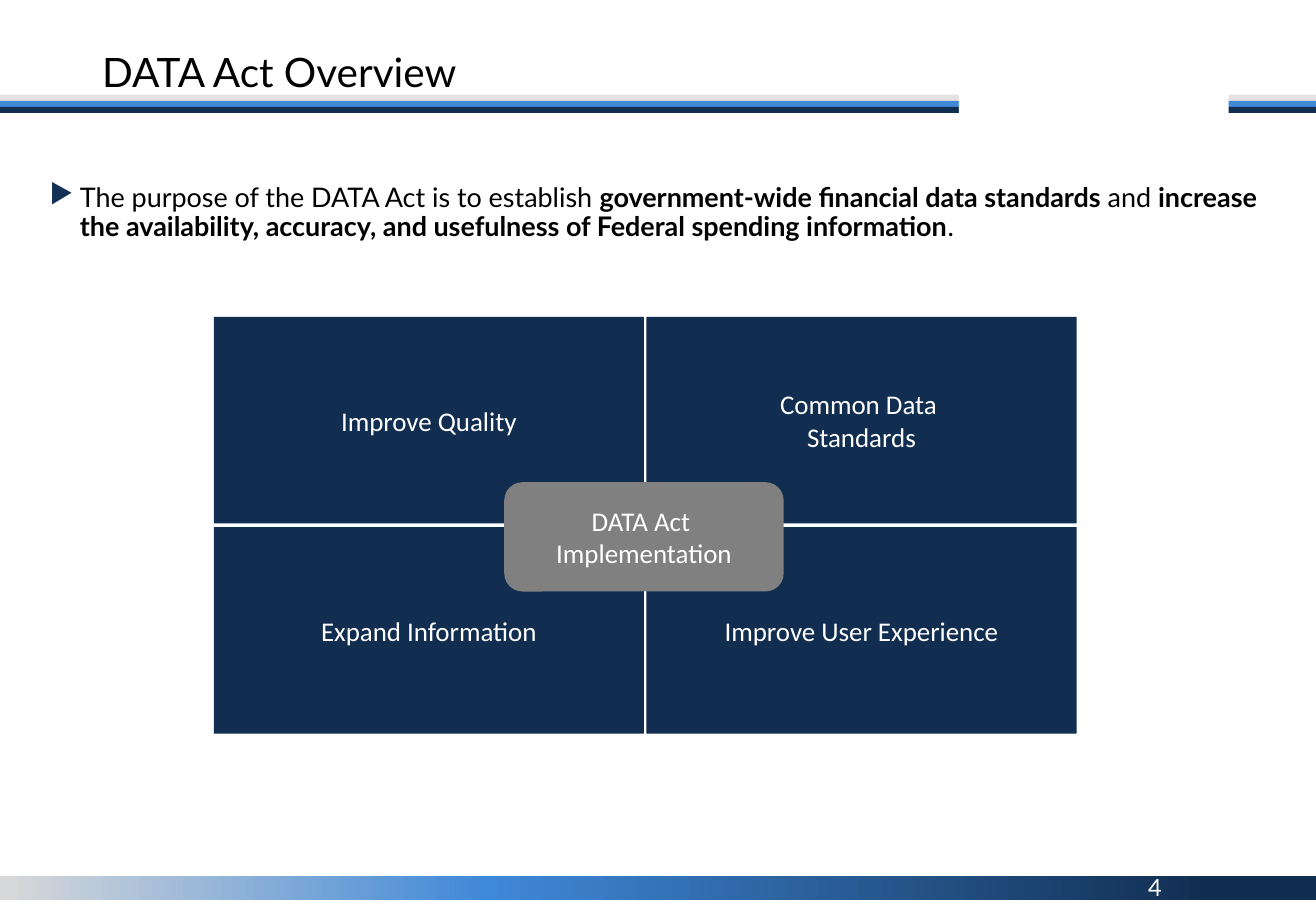
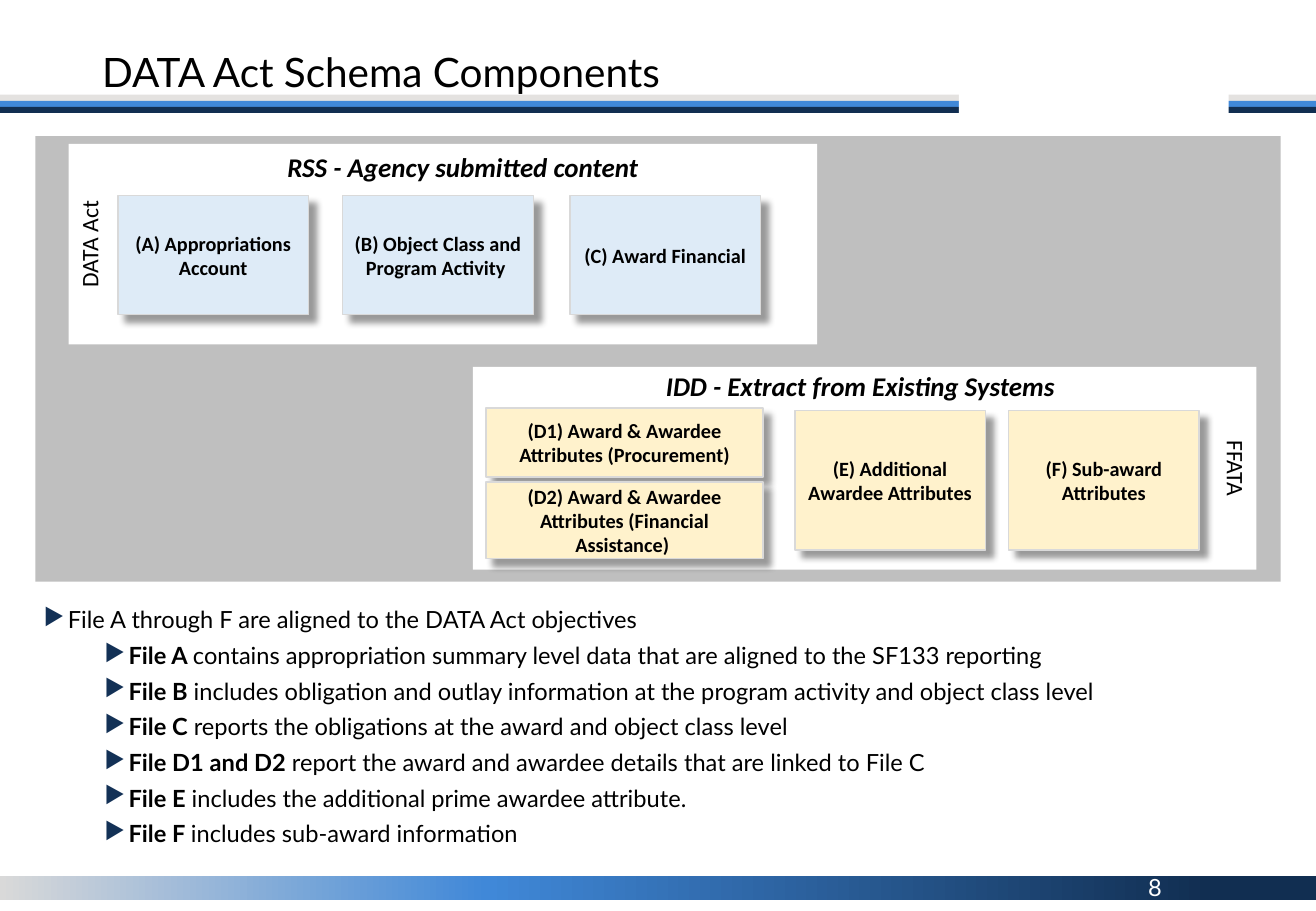
"""Build two slides on the DATA Act: its overview and its schema components."""
from copy import deepcopy

from lxml.etree import SubElement
from pptx import Presentation
from pptx.dml.color import RGBColor
from pptx.enum.shapes import MSO_SHAPE
from pptx.enum.text import MSO_ANCHOR, MSO_AUTO_SIZE, PP_ALIGN
from pptx.oxml.ns import qn
from pptx.util import Inches, Pt

NAVY = RGBColor(0x11, 0x2E, 0x51)
BLUE = RGBColor(0x40, 0x88, 0xD8)
BULLET_NAVY = RGBColor(0x13, 0x31, 0x56)
WARM_GRAY = RGBColor(0xE4, 0xE2, 0xE0)
LIGHT_GRAY = RGBColor(0xD9, 0xD9, 0xD9)
PANEL_GRAY = RGBColor(0xBF, 0xBF, 0xBF)
HUB_GRAY = RGBColor(0x80, 0x80, 0x80)
PALE_BLUE = RGBColor(0xDE, 0xEB, 0xF7)
PALE_YELLOW = RGBColor(0xFF, 0xF2, 0xCC)
WHITE = RGBColor(0xFF, 0xFF, 0xFF)
BLACK = RGBColor(0x00, 0x00, 0x00)
HEADING_FONT, DIAGRAM_FONT = "Lato", "Calibri"


def write_text(shape, text, font=DIAGRAM_FONT, size=16, color=BLACK, bold=False, italic=False,
               align=PP_ALIGN.CENTER, anchor=MSO_ANCHOR.MIDDLE, line_spacing=None,
               space_before=None, bullet_margins=(), hanging=0.2):
    """Write one paragraph per line, with the parts between double asterisks in bold."""
    frame = shape.text_frame
    frame.word_wrap = True
    frame.auto_size = MSO_AUTO_SIZE.NONE
    frame.vertical_anchor = anchor
    for index, line in enumerate(text.split("\n")):
        paragraph = frame.add_paragraph() if index else frame.paragraphs[0]
        paragraph.alignment = align
        paragraph.line_spacing = line_spacing
        if space_before is not None:
            paragraph.space_before = Pt(space_before)
        for part_index, part in enumerate(line.split("**")):
            if part:
                run = paragraph.add_run()
                run.text = part
                run.font.name = font
                run.font.size = Pt(size)
                run.font.color.rgb = color
                run.font.bold = bold or part_index % 2 == 1
                run.font.italic = italic
        if bullet_margins:
            margin = bullet_margins[index]
            paragraph.level = int(margin > hanging + 0.1)
            properties = paragraph._p.get_or_add_pPr()
            properties.set("marL", str(Inches(margin)))
            properties.set("indent", str(-Inches(hanging)))
            bullet_color = SubElement(properties, qn("a:buClr"))
            SubElement(bullet_color, qn("a:srgbClr"), val=str(BULLET_NAVY))
            SubElement(properties, qn("a:buChar"), char="▶")


def add_box(slide, left, top, width, height, fill, kind=MSO_SHAPE.RECTANGLE, card=False):
    """Add a filled shape; a card also gets a thin outline and a drop shadow."""
    shape = slide.shapes.add_shape(kind, Inches(left), Inches(top), Inches(width), Inches(height))
    shape.shadow.inherit = False
    shape.fill.solid()
    shape.fill.fore_color.rgb = fill
    if card:
        shape.line.color.rgb = LIGHT_GRAY
        shape.line.width = Pt(1)
        effects = shape.element.spPr.find(qn("a:effectLst"))
        shadow = SubElement(effects, qn("a:outerShdw"), blurRad=str(Pt(4)), dist=str(Pt(6)),
                            dir="2700000", algn="tl", rotWithShape="0")
        shadow_color = SubElement(shadow, qn("a:srgbClr"), val=str(BLACK))
        SubElement(shadow_color, qn("a:alpha"), val="40000")
    else:
        shape.line.fill.background()
    return shape


presentation = Presentation()
presentation.slide_width = Inches(10.83)
presentation.slide_height = Inches(7.5)

for title_text, number in (("DATA Act Overview", "4"), ("DATA Act Schema Components", "8")):
    slide = presentation.slides.add_slide(presentation.slide_layouts[5])

    footer = add_box(slide, 0, 7.21, 10.83, 0.2, NAVY)
    footer.fill.gradient()
    footer.fill.gradient_angle = 0
    stop_list = footer.element.spPr.find(".//" + qn("a:gsLst"))
    stop_list.append(deepcopy(stop_list[0]))
    footer_stops = ((0, LIGHT_GRAY), (0.37, BLUE), (0.92, NAVY))
    for stop, (position, color) in zip(footer.fill.gradient_stops, footer_stops):
        stop.position = position
        stop.color.rgb = color

    for row, color in enumerate((WARM_GRAY, BLUE, NAVY)):
        add_box(slide, -0.01, 0.78 + 0.05 * row, 10.84, 0.05, color)
    add_box(slide, 7.89, 0.59, 2.22, 0.58, WHITE)

    page_number = slide.shapes.add_textbox(Inches(9.35), Inches(7.14), Inches(0.45), Inches(0.34))
    write_text(page_number, number, font=HEADING_FONT, size=14, color=WHITE,
               align=PP_ALIGN.LEFT, anchor=MSO_ANCHOR.TOP)

    title = slide.shapes.title
    title.left, title.top = Inches(0.74), Inches(0.4)
    title.width, title.height = Inches(9.34), Inches(0.43)
    write_text(title, title_text, font=HEADING_FONT, size=24, align=PP_ALIGN.LEFT,
               line_spacing=0.9)
    slide.shapes.element.append(title.element)

overview, schema = presentation.slides

purpose = overview.shapes.add_textbox(Inches(0.31), Inches(1.47), Inches(10.18), Inches(1))
write_text(purpose,
           "The purpose of the DATA Act is to establish **government-wide financial data standards "
           "**and **increase the availability, accuracy, and usefulness of Federal spending "
           "information**.",
           font=HEADING_FONT, align=PP_ALIGN.LEFT, anchor=MSO_ANCHOR.TOP, line_spacing=0.9,
           space_before=8.1, bullet_margins=[0.25], hanging=0.25)

goals = (("Improve Quality", "Common Data \nStandards"),
         ("Expand Information", "Improve User Experience"))
for row, row_goals in enumerate(goals):
    for column, goal in enumerate(row_goals):
        quadrant = add_box(overview, 1.76 + 3.56 * column, 2.61 + 1.73 * row, 3.54, 1.7, NAVY)
        write_text(quadrant, goal, color=WHITE)

hub = add_box(overview, 4.15, 3.97, 2.3, 0.9, HUB_GRAY, kind=MSO_SHAPE.ROUNDED_RECTANGLE)
write_text(hub, "DATA Act \nImplementation", color=WHITE)

add_box(schema, 0.29, 1.12, 10.25, 3.67, PANEL_GRAY)

groups = (
    ("DATA Act", 270, (2.82, -1.07, 1.65, 6.16),
     "RSS - Agency submitted content", (1.81, 1.19, 4)),
    ("FFATA", 90, (6.28, 0.63, 1.67, 6.45),
     "IDD - Extract from Existing Systems ", (3.88, 2.99, 6.45)),
)
for law, rotation, bounds, heading_text, (left, top, width) in groups:
    panel = add_box(schema, *bounds, WHITE)
    panel.rotation = rotation
    write_text(panel, law, size=14, anchor=MSO_ANCHOR.TOP)
    heading = schema.shapes.add_textbox(Inches(left), Inches(top), Inches(width), Inches(0.37))
    write_text(heading, heading_text, bold=True, italic=True, anchor=MSO_ANCHOR.TOP)

files = (
    ("(A) Appropriations Account", 0.97, 1.61, 1.57, 0.98, PALE_BLUE),
    ("(B) Object Class and Program Activity ", 2.82, 1.61, 1.57, 0.98, PALE_BLUE),
    ("(C) Award Financial", 4.69, 1.61, 1.57, 0.98, PALE_BLUE),
    ("(D1) Award & Awardee Attributes (Procurement)", 4, 3.36, 2.28, 0.57, PALE_YELLOW),
    ("(D2) Award & Awardee Attributes (Financial Assistance) ", 4, 3.97, 2.28, 0.63, PALE_YELLOW),
    ("(E) Additional Awardee Attributes", 6.54, 3.38, 1.57, 1.15, PALE_YELLOW),
    ("(F) Sub-award Attributes", 8.3, 3.38, 1.57, 1.15, PALE_YELLOW),
)
for file_name, left, top, width, height, color in files:
    file_card = add_box(schema, left, top, width, height, color, card=True)
    write_text(file_card, file_name, size=12, bold=True)

file_notes = (
    "File A through F are aligned to the DATA Act objectives",
    "**File A **contains appropriation summary level data that are aligned to the SF133 reporting",
    "**File B **includes obligation and outlay information at the program activity and object "
    "class level",
    "**File C **reports the obligations at the award and object class level",
    "**File D1 and D2 **report the award and awardee details that are linked to File C",
    "**File E **includes the additional prime awardee attribute.",
    "**File F **includes sub-award information",
)
notes_box = schema.shapes.add_textbox(Inches(0.26), Inches(4.96), Inches(10.28), Inches(2.09))
write_text(notes_box, "\n".join(file_notes), font=HEADING_FONT, size=14, align=PP_ALIGN.LEFT,
           anchor=MSO_ANCHOR.TOP, line_spacing=0.9, space_before=6,
           bullet_margins=[0.2] + [0.7] * 6)

presentation.save("out.pptx")
